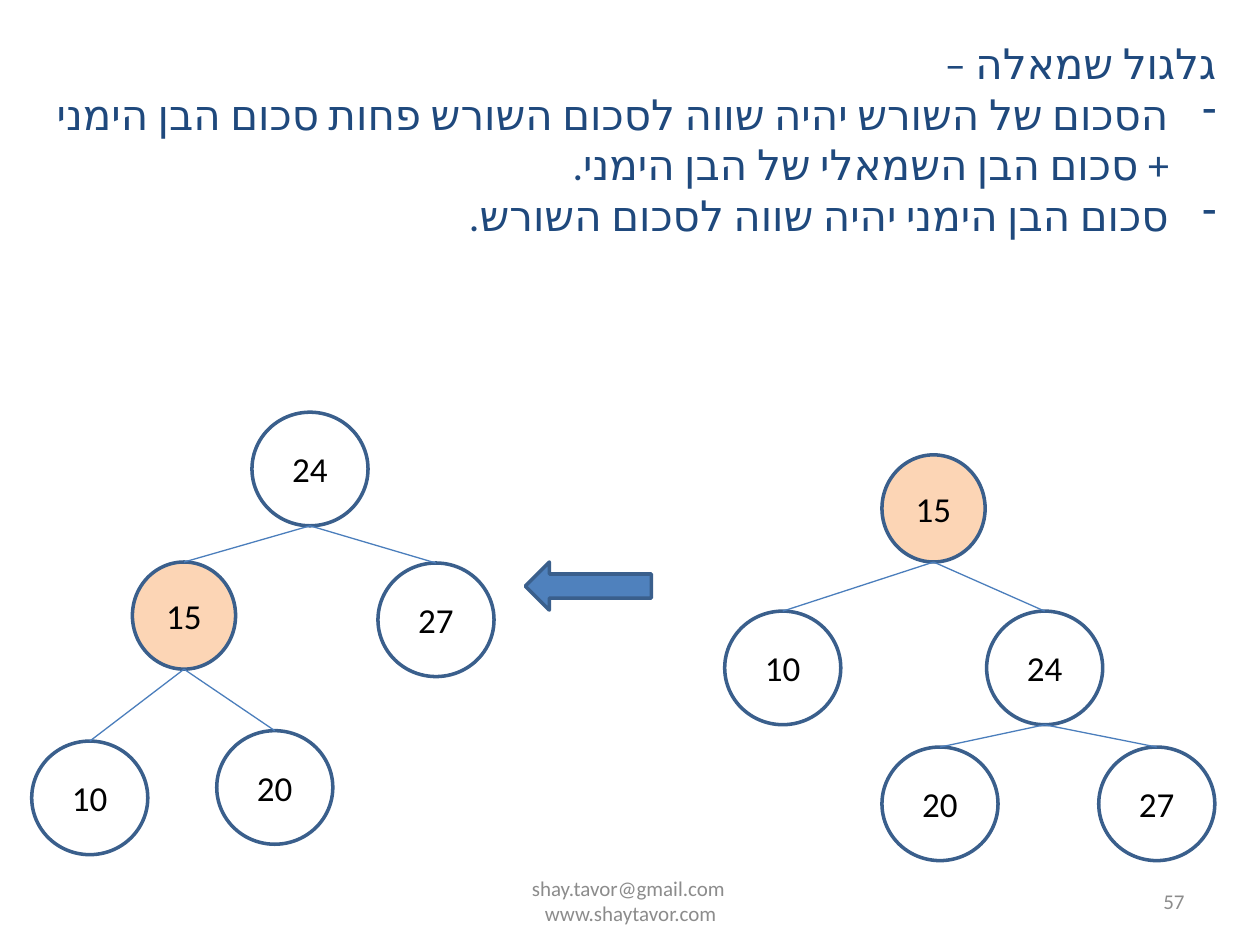
from dataclasses import dataclass

from lxml.etree import SubElement
from pptx import Presentation
from pptx.dml.color import RGBColor
from pptx.enum.lang import MSO_LANGUAGE_ID
from pptx.enum.shapes import MSO_CONNECTOR, MSO_SHAPE
from pptx.enum.text import MSO_ANCHOR, PP_ALIGN
from pptx.oxml.ns import qn
from pptx.shapes.autoshape import Shape
from pptx.slide import Slide
from pptx.util import Cm, Pt

NAVY = RGBColor(0x1F, 0x49, 0x7D)
OUTLINE = RGBColor(0x3A, 0x5F, 0x8C)
EDGE = RGBColor(0x4B, 0x7E, 0xBC)
BLUE = RGBColor(0x4F, 0x81, 0xBD)
PEACH = RGBColor(0xFC, 0xD5, 0xB5)
BLACK = RGBColor(0x00, 0x00, 0x00)
GRAY = RGBColor(0x8C, 0x8C, 0x8C)
FONT = "Calibri"
BULLET_INDENT = Cm(0.95)


@dataclass(frozen=True)
class Node:
    value: int
    left: float
    top: float
    children: tuple["Node", ...] = ()
    rotated: bool = False

    @property
    def width(self) -> float:
        return 2.08 if self.rotated else 2.34

    @property
    def height(self) -> float:
        return 2.16 if self.rotated else 2.29

    @property
    def center(self) -> float:
        return self.left + self.width / 2


@dataclass(frozen=True)
class Label:
    text: str
    left: float
    top: float
    width: float
    height: float
    size: int
    color: RGBColor
    align: PP_ALIGN
    anchor: MSO_ANCHOR


BEFORE = Node(15, 17.78, 9.17, rotated=True, children=(
    Node(10, 14.61, 12.32),
    Node(24, 19.89, 12.32, children=(
        Node(20, 17.78, 15.06),
        Node(27, 22.15, 15.06),
    )),
))
AFTER = Node(24, 5.08, 8.31, children=(
    Node(15, 2.67, 11.33, rotated=True, children=(
        Node(10, 0.64, 14.94),
        Node(20, 4.37, 14.73),
    )),
    Node(27, 7.62, 11.35),
))

RULES = Label(
    "גלגול שמאלה – \n"
    "הסכום של השורש יהיה שווה לסכום השורש פחות סכום הבן הימני + סכום הבן השמאלי של הבן הימני.\n"
    "סכום הבן הימני יהיה שווה לסכום השורש.",
    0.84, 0.64, 23.93, 4.37, 24, NAVY, PP_ALIGN.RIGHT, MSO_ANCHOR.TOP)
CONTACT = Label("shay.tavor@gmail.com \nwww.shaytavor.com",
                8.69, 17.65, 8.05, 1.02, 12, GRAY, PP_ALIGN.CENTER, MSO_ANCHOR.MIDDLE)
PAGE = Label("57", 18.21, 17.65, 5.92, 1.02, 12, GRAY, PP_ALIGN.RIGHT, MSO_ANCHOR.MIDDLE)


def write(holder: Shape, text: str, size: int, color: RGBColor,
          align: PP_ALIGN, anchor: MSO_ANCHOR) -> None:
    frame = holder.text_frame
    frame.word_wrap = True
    frame.vertical_anchor = anchor
    frame.text = text
    for paragraph in frame.paragraphs:
        paragraph.alignment = align
        for run in paragraph.runs:
            run.font.name = FONT
            run.font.size = Pt(size)
            run.font.color.rgb = color


def add_label(slide: Slide, label: Label) -> Shape:
    box = slide.shapes.add_textbox(Cm(label.left), Cm(label.top),
                                   Cm(label.width), Cm(label.height))
    write(box, label.text, label.size, label.color, label.align, label.anchor)
    return box


def set_hebrew(box: Shape) -> None:
    for index, paragraph in enumerate(box.text_frame.paragraphs):
        properties = paragraph._p.get_or_add_pPr()
        properties.set("rtl", "1")
        if index > 0:
            properties.set("marL", str(BULLET_INDENT))
            properties.set("indent", str(-BULLET_INDENT))
            SubElement(properties, qn("a:buChar")).set("char", "-")
        for run in paragraph.runs:
            run.font.language_id = MSO_LANGUAGE_ID.HEBREW
            SubElement(run._r.get_or_add_rPr(), qn("a:cs")).set("typeface", FONT)


def add_outlined(slide: Slide, kind: MSO_SHAPE, left: float, top: float,
                 width: float, height: float, fill: RGBColor | None) -> Shape:
    shape = slide.shapes.add_shape(kind, Cm(left), Cm(top), Cm(width), Cm(height))
    shape.shadow.inherit = False
    if fill is None:
        shape.fill.background()
    else:
        shape.fill.solid()
        shape.fill.fore_color.rgb = fill
    shape.line.color.rgb = OUTLINE
    shape.line.width = Pt(2)
    return shape


def add_edge(slide: Slide, parent: Node, child: Node) -> None:
    edge = slide.shapes.add_connector(
        MSO_CONNECTOR.STRAIGHT, Cm(parent.center), Cm(parent.top + parent.height),
        Cm(child.center), Cm(child.top))
    edge.line.color.rgb = EDGE
    edge.line.width = Pt(0.75)
    SubElement(edge._element.spPr, qn("a:effectLst"))


def add_tree(slide: Slide, node: Node) -> None:
    circle = add_outlined(slide, MSO_SHAPE.OVAL, node.left, node.top,
                          node.width, node.height, PEACH if node.rotated else None)
    write(circle, str(node.value), 20, BLACK, PP_ALIGN.CENTER, MSO_ANCHOR.MIDDLE)
    for child in node.children:
        add_tree(slide, child)
        add_edge(slide, node, child)


def main() -> None:
    presentation = Presentation()
    presentation.slide_width = Cm(25.4)
    presentation.slide_height = Cm(19.05)
    slide = presentation.slides.add_slide(presentation.slide_layouts[6])
    add_label(slide, CONTACT)
    add_label(slide, PAGE)
    add_tree(slide, BEFORE)
    add_outlined(slide, MSO_SHAPE.LEFT_ARROW, 10.59, 11.33, 2.54, 0.97, BLUE)
    add_tree(slide, AFTER)
    set_hebrew(add_label(slide, RULES))
    presentation.save("out.pptx")


if __name__ == "__main__":
    main()
